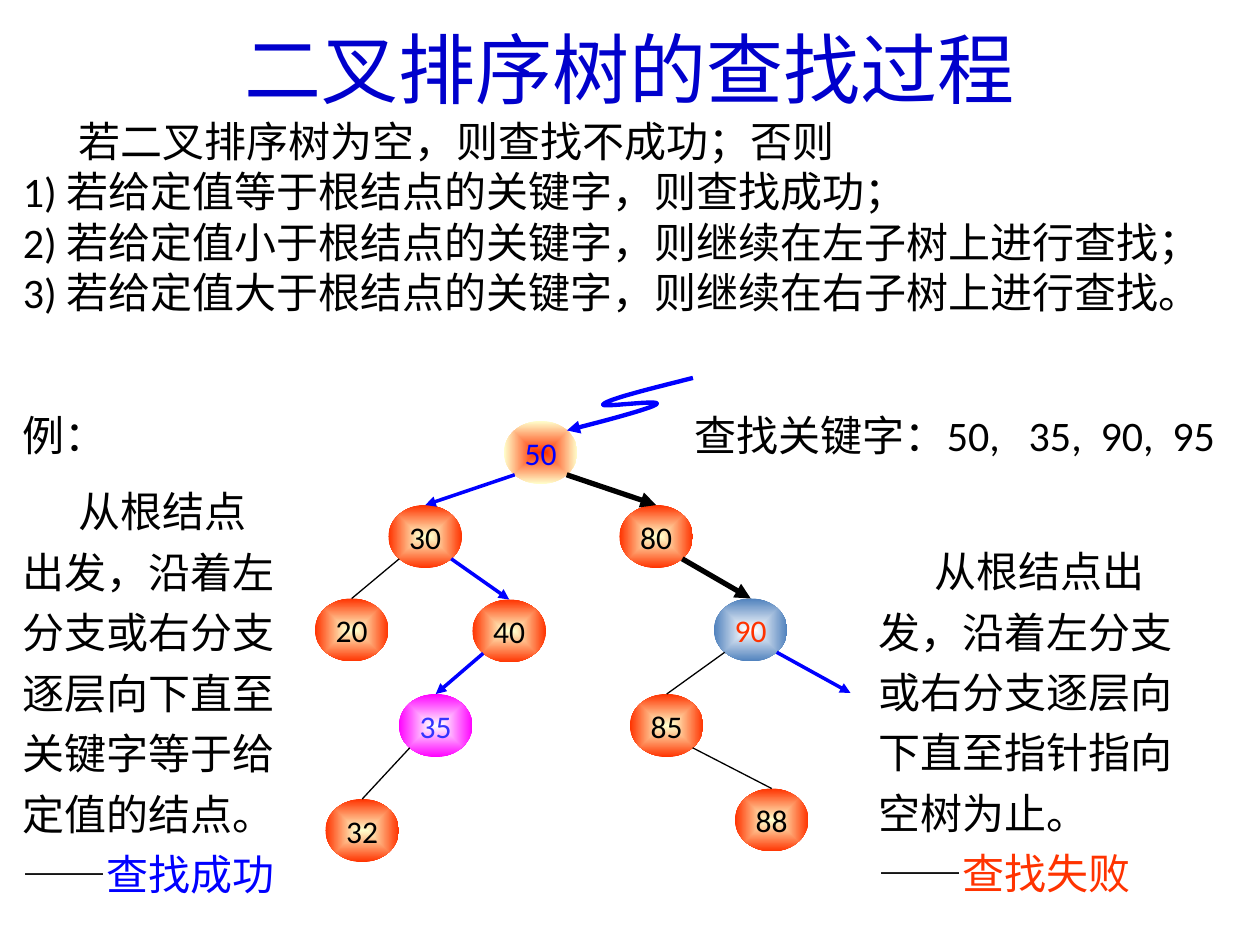
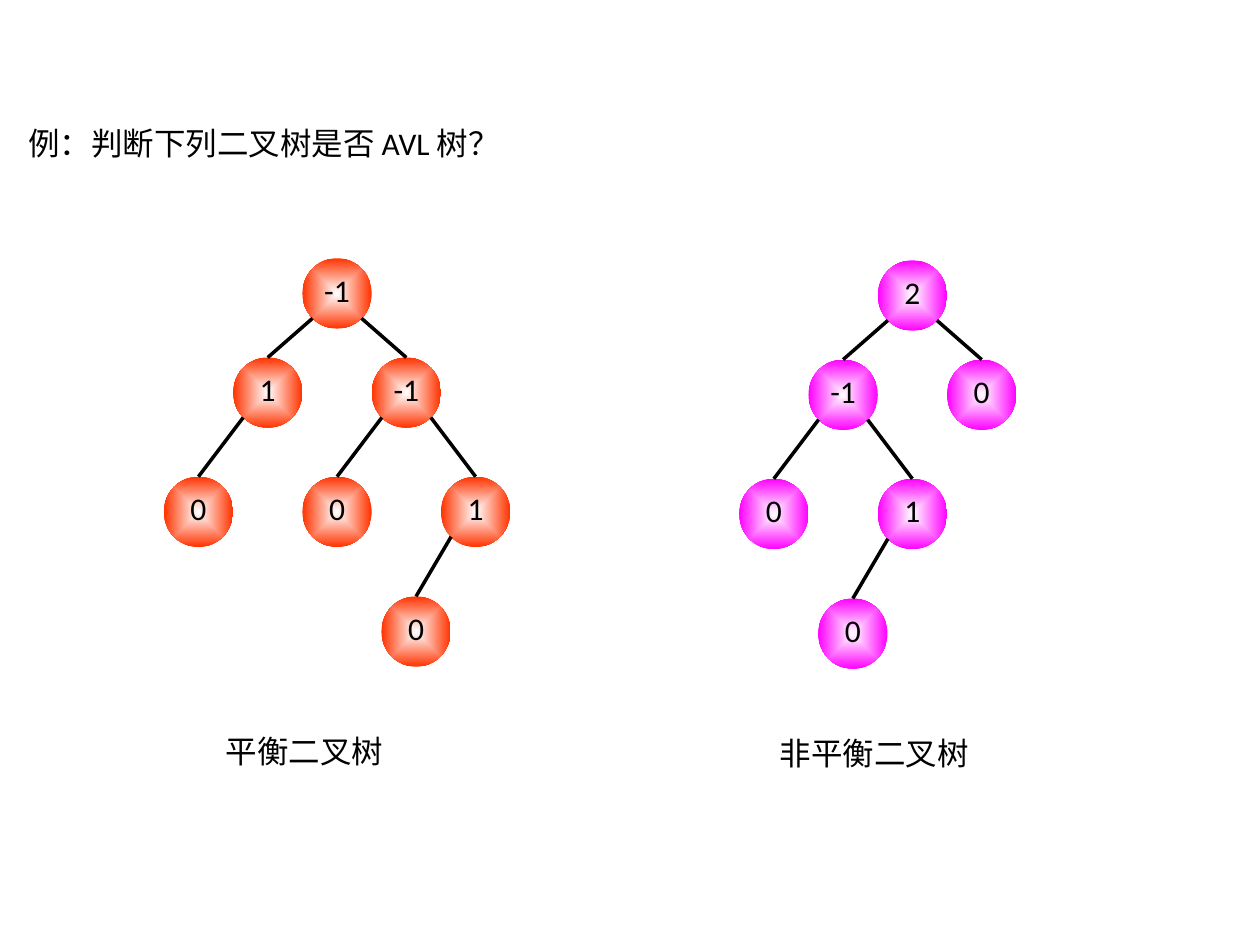
from dataclasses import dataclass

from lxml.etree import SubElement
from pptx import Presentation
from pptx.dml.color import RGBColor
from pptx.enum.shapes import MSO_CONNECTOR, MSO_SHAPE
from pptx.enum.text import MSO_ANCHOR, PP_ALIGN
from pptx.oxml.ns import qn
from pptx.util import Inches, Pt


@dataclass(frozen=True)
class Theme:
    latin: str = "Calibri"
    asian: str = "Noto Sans CJK SC"
    black: str = "000000"
    blue: str = "0000FF"
    title_blue: str = "0000CC"
    violet: str = "3333FF"
    red: str = "FF3300"
    cream: str = "FFFFCC"
    white: str = "FFFFFF"
    magenta: str = "FF00FF"
    steel: str = "4F81BD"
    title_size: int = 44
    body_size: int = 24
    small_size: int = 18
    single: float = 1.2
    loose: float = 1.44


@dataclass(frozen=True)
class Box:
    left: float
    top: float
    width: float
    height: float

    def inner(self, column, row, width, height):
        return Box(self.left + column, self.top + row, width, height)

    def lengths(self):
        return [cells(value) for value in (self.left, self.top, self.width, self.height)]

    def top_centre(self):
        return self.left + self.width / 2, self.top

    def lower_corner(self, side):
        reach = 0.5 ** 0.5 / 2
        return (self.left + self.width * (0.5 + side * reach),
                self.top + self.height * (0.5 + reach))


@dataclass(frozen=True)
class Look:
    inner: str
    outer: str
    text: str = "000000"


@dataclass(frozen=True)
class Edge:
    color: str
    width: float
    arrow: bool = False


@dataclass(frozen=True)
class Node:
    key: str
    column: float
    row: float
    parent: int | None = None
    look: Look | None = None
    edge: Edge | None = None


THEME = Theme()
COLUMNS, ROWS = 120, 90
SLIDE = Box(0, 0, COLUMNS, ROWS)
INDENT = Inches(0.44)

PLAIN = Look(THEME.cream, THEME.red)
START = Look(THEME.red, THEME.cream, THEME.blue)
FOUND = Look(THEME.white, THEME.magenta, THEME.violet)
LAST = Look(THEME.white, THEME.steel, THEME.red)
BALANCED = Look(THEME.white, THEME.red)
UNBALANCED = Look(THEME.white, THEME.magenta)

THIN = Edge(THEME.black, 0.75)
FIRM = Edge(THEME.black, 2)
HIT = Edge(THEME.blue, 2, True)
MISS = Edge(THEME.black, 3, True)


def cells(count):
    return Inches(count * 10 / COLUMNS)


def rgb(color):
    return RGBColor.from_string(color)


def format_span(span, size, color, font):
    span.font.size = Pt(size)
    span.font.name = font
    span.font.color.rgb = rgb(color)
    SubElement(span.font._element, qn("a:ea")).set("typeface", THEME.asian)


def write(page, box, paras, size=THEME.body_size, color=THEME.black, font=THEME.latin,
          align=PP_ALIGN.LEFT, spacing=THEME.single, first_indent=0, tabs=()):
    frame = page.shapes.add_textbox(*box.lengths()).text_frame
    frame.word_wrap = True
    frame.margin_top = Inches(0.05) + Pt(size * 0.1)
    for index, spans in enumerate(paras):
        para = frame.paragraphs[0] if index == 0 else frame.add_paragraph()
        para.alignment = align
        para.line_spacing = Pt(size * spacing)
        properties = para._p.get_or_add_pPr()
        if index == 0 and first_indent:
            properties.set("indent", str(first_indent))
        if tabs:
            stops = SubElement(properties, qn("a:tabLst"))
            for position in tabs:
                stop = SubElement(stops, qn("a:tab"))
                stop.set("pos", str(Inches(position)))
                stop.set("algn", "l")
        for text, tint in [(spans, color)] if isinstance(spans, str) else spans:
            span = para.add_run()
            span.text = text
            format_span(span, size, tint, font)


def style_line(line, edge):
    line.color.rgb = rgb(edge.color)
    line.width = Pt(edge.width)
    if edge.arrow:
        SubElement(line._get_or_add_ln(), qn("a:tailEnd")).set("type", "triangle")


def connect(page, start, end, edge):
    points = [cells(value) for value in (*start, *end)]
    connector = page.shapes.add_connector(MSO_CONNECTOR.STRAIGHT, *points)
    style_line(connector.line, edge)
    SubElement(connector._element.spPr, qn("a:effectLst"))


def fill_from_centre(shape, look):
    shape.fill.gradient()
    for stop, color in zip(shape.fill.gradient_stops, (look.inner, look.outer)):
        stop.color.rgb = rgb(color)
    gradient = shape._element.spPr.find(qn("a:gradFill"))
    gradient.remove(gradient.find(qn("a:lin")))
    route = SubElement(gradient, qn("a:path"))
    route.set("path", "shape")
    centre = SubElement(route, qn("a:fillToRect"))
    for side in "ltrb":
        centre.set(side, "50000")


def draw_node(page, box, key, look, spacing):
    shape = page.shapes.add_shape(MSO_SHAPE.OVAL, *box.lengths())
    shape.shadow.inherit = False
    shape.line.fill.background()
    fill_from_centre(shape, look)
    frame = shape.text_frame
    frame.word_wrap = False
    frame.vertical_anchor = MSO_ANCHOR.MIDDLE
    para = frame.paragraphs[0]
    para.alignment = PP_ALIGN.CENTER
    para.line_spacing = spacing
    span = para.add_run()
    span.text = key
    format_span(span, THEME.small_size, look.text, THEME.latin)


def draw_tree(page, box, nodes, node_size, look, edge, spacing=1.0):
    places = [box.inner(node.column, node.row, *node_size) for node in nodes]
    for node, place in zip(nodes, places):
        draw_node(page, place, node.key, node.look or look, spacing)
    for node, place in zip(nodes, places):
        if node.parent is not None:
            parent = places[node.parent]
            side = 1 if place.left > parent.left else -1
            connect(page, parent.lower_corner(side), place.top_centre(), node.edge or edge)
    return places


def curve_points(anchors, steps=16):
    points = [anchors[0]]
    for first in range(0, len(anchors) - 1, 3):
        corners = anchors[first:first + 4]
        for step in range(1, steps + 1):
            t = step / steps
            weights = ((1 - t) ** 3, 3 * t * (1 - t) ** 2, 3 * t * t * (1 - t), t ** 3)
            points.append(tuple(sum(w * corner[axis] for w, corner in zip(weights, corners))
                                for axis in (0, 1)))
    return points


def draw_squiggle(page, box):
    anchors = [(1, 0), (0.67, 0.2), (0.33, 0.4), (0.29, 0.5), (0.24, 0.58),
               (0.76, 0.4), (0.71, 0.5), (0.67, 0.58), (0.33, 0.8), (0, 1)]
    points = [(cells(box.left + x * box.width), cells(box.top + y * box.height))
              for x, y in curve_points(anchors)]
    builder = page.shapes.build_freeform(*points[0])
    builder.add_line_segments(points[1:], close=False)
    shape = builder.convert_to_shape()
    shape.shadow.inherit = False
    shape.fill.background()
    style_line(shape.line, Edge(THEME.blue, 2.5, True))


def draw_search_tree(page, box):
    nodes = [
        Node("50", 18, 0, look=START),
        Node("30", 7, 8, 0, edge=HIT),
        Node("80", 29, 8, 0, edge=MISS),
        Node("20", 0, 16.9, 1),
        Node("40", 15, 17, 1, edge=HIT),
        Node("90", 38, 16.9, 2, LAST, MISS),
        Node("35", 8, 26, 4, FOUND, HIT),
        Node("85", 30, 26, 5),
        Node("32", 1, 36, 6),
        Node("88", 40, 35, 7),
    ]
    places = draw_tree(page, box, nodes, (7, 6), PLAIN, THIN)
    connect(page, places[5].lower_corner(1), (box.left + 51, box.top + 25.9), HIT)


def draw_outcome(page, box, lines, result, color):
    write(page, box, [*lines, [("——", THEME.black), (result, color)]],
          spacing=THEME.loose, first_indent=INDENT)


def build_search_page(page, box):
    write(page, box.inner(6, 0.7, 108, 15), ["二叉排序树的查找过程"], size=THEME.title_size,
          color=THEME.title_blue, font=THEME.asian, align=PP_ALIGN.CENTER)
    write(page, box.inner(1, 10, 116.6, 20.7), [
        "若二叉排序树为空，则查找不成功；否则",
        "1) 若给定值等于根结点的关键字，则查找成功；",
        "2) 若给定值小于根结点的关键字，则继续在左子树上进行查找；",
        "3) 若给定值大于根结点的关键字，则继续在右子树上进行查找。",
    ], first_indent=INDENT)
    write(page, box.inner(1, 38, 11.5, 6), ["例："])
    write(page, box.inner(65, 38, 53.7, 6), ["查找关键字：50,\t35,\t90,\t95"],
          tabs=[2.08 + 0.57 * step for step in (1, 2, 3)])
    draw_search_tree(page, box.inner(30, 40.1, 51, 42))
    draw_squiggle(page, box.inner(54, 36, 12, 5))
    draw_outcome(page, box.inner(1, 44.3, 28, 41.5),
                 ["从根结点", "出发，沿着左", "分支或右分支", "逐层向下直至", "关键字等于给", "定值的结点。"],
                 "查找成功", THEME.blue)
    draw_outcome(page, box.inner(82.5, 50, 34.5, 35.8),
                 ["从根结点出", "发，沿着左分支", "或右分支逐层向", "下直至指针指向", "空树为止。"],
                 "查找失败", THEME.red)


def draw_balance_tree(page, box, keys, look, caption, caption_column):
    step = 6.6
    levels = (0, 9.45, 20.8, 32.2)
    nodes = [Node(key, column * step, levels[level], parent)
             for key, column, level, parent in keys]
    draw_tree(page, box, nodes, (step, 6.7), look, FIRM, spacing=0.8)
    write(page, box.inner(caption_column, 44.2, 27.5, 6), [caption],
          size=THEME.small_size, font=THEME.asian)


def build_balance_page(page, box):
    write(page, box.inner(1.5, 10.9, 68, 6), ["例：判断下列二叉树是否 AVL 树？"],
          size=THEME.small_size)
    draw_balance_tree(page, box.inner(15.6, 24.6, 33, 50), [
        ("-1", 2, 0, None), ("1", 1, 1, 0), ("-1", 3, 1, 0),
        ("0", 0, 2, 1), ("0", 2, 2, 2), ("1", 4, 2, 2), ("0", 3.14, 3, 5),
    ], BALANCED, "平衡二叉树", 4.7)
    draw_balance_tree(page, box.inner(70.4, 24.8, 33, 50), [
        ("2", 2, 0, None), ("-1", 1, 1, 0), ("0", 3, 1, 0),
        ("0", 0, 2, 1), ("1", 2, 2, 1), ("0", 1.14, 3, 4),
    ], UNBALANCED, "非平衡二叉树", 2.7)


def main():
    deck = Presentation()
    deck.slide_width, deck.slide_height = cells(COLUMNS), cells(ROWS)
    for build in (build_search_page, build_balance_page):
        build(deck.slides.add_slide(deck.slide_layouts[6]), SLIDE)
    deck.save("out.pptx")


if __name__ == "__main__":
    main()
